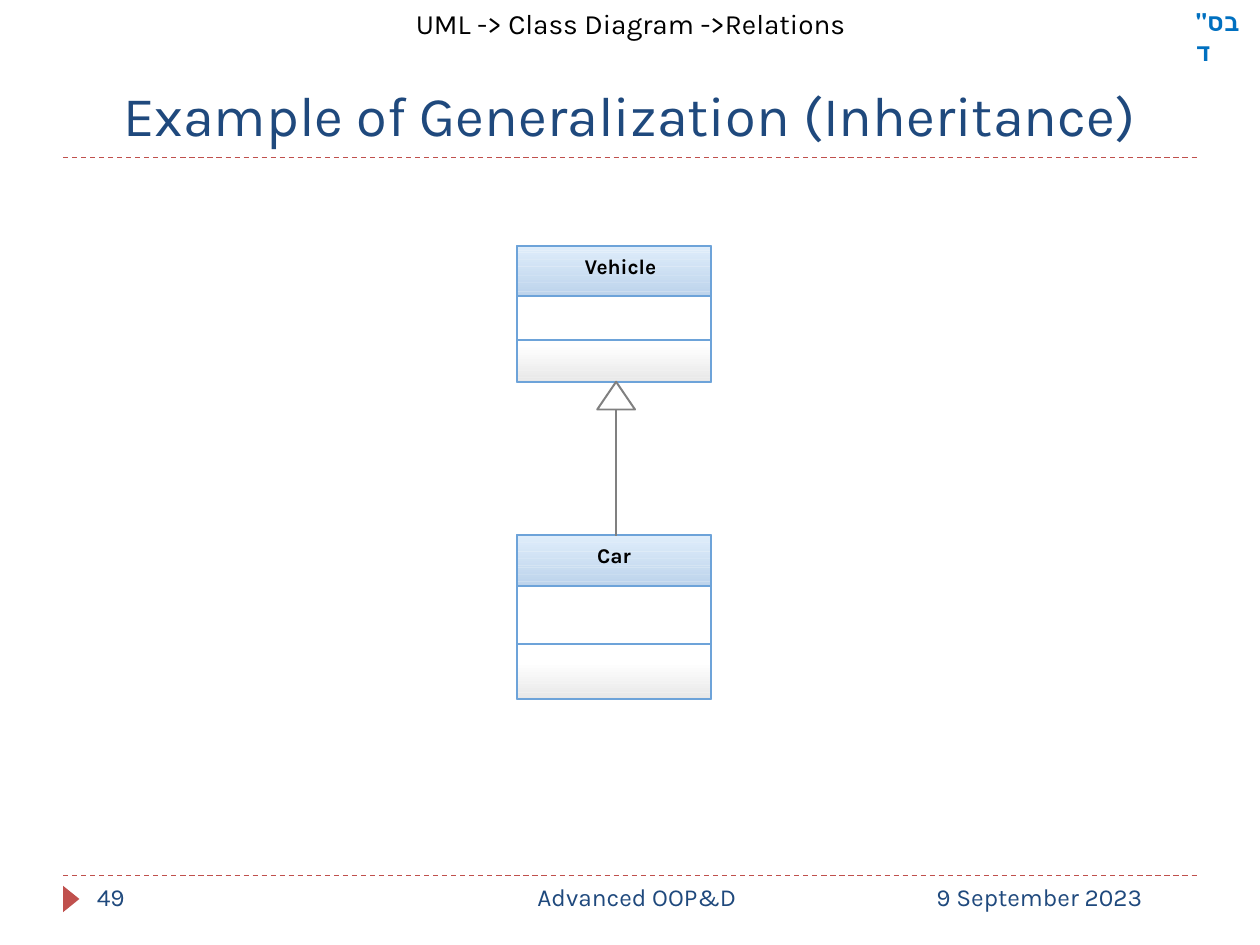
from lxml import etree
from pptx import Presentation
from pptx import util as u
from pptx.dml.color import RGBColor
from pptx.enum import dml, shapes, text
from pptx.oxml.ns import qn

INK, RED, BLUE, GRAY = "1F497D", "C0504D", "6DA3D9", "808080"
KIND, MID = shapes.MSO_SHAPE, text.PP_ALIGN.CENTER
hue = RGBColor.from_string

deck = Presentation()
deck.slide_width, deck.slide_height = u.Inches(10), u.Inches(7.5)
slide = deck.slides.add_slide(deck.slide_layouts[5])
parts = slide.shapes


def style(frame, words, size, tone, face="Karla", bold=False, align=None):
    frame.text = words
    para = frame.paragraphs[0]
    para.alignment = align
    look = {"name": face, "size": u.Pt(size), "bold": bold}
    for key, value in look.items():
        setattr(para.font, key, value)
    para.font.color.rgb = hue(tone)


def block(kind, box, fill=None, line=None):
    item = parts.add_shape(kind, *map(u.Inches, box))
    item.shadow.inherit = False
    if fill:
        item.fill.solid()
        item.fill.fore_color.rgb = hue(fill)
    else:
        item.fill.background()
    if line:
        item.line.color.rgb = hue(line)
        item.line.width = u.Pt(1.13)
    else:
        item.line.fill.background()
    return item


# Title
title = parts.title
place = {"left": 0.5, "top": 0.55, "width": 9, "height": 0.67}
for key, value in place.items():
    setattr(title, key, u.Inches(value))
frame = title.text_frame
frame.word_wrap = True
frame.auto_size = text.MSO_AUTO_SIZE.NONE
frame.vertical_anchor = text.MSO_ANCHOR.BOTTOM
style(frame, "Example of Generalization (Inheritance)", 32, INK, align=MID)

# Header and footer texts
notes = [
    ((9.39, 0.01, 0.61, 0.34), 'בס"ד', 14, "0070C0", "Calibri", True, None),
    ((2, 0, 6.01, 0.37), "UML -> Class Diagram ->Relations", 16, "000000", "Karla", False, MID),
    ((7, 6.95, 2.5, 0.4), "9 September 2023", 14, INK, "Karla", False, MID),
    ((3.11, 6.95, 3.89, 0.4), "Advanced OOP&D", 14, INK, "Karla", False, MID),
    ((0.67, 6.95, 2.17, 0.4), "49", 14, INK, "Karla", False, None),
]
for box, *look in notes:
    frame = parts.add_textbox(*map(u.Inches, box)).text_frame
    frame.word_wrap = True
    style(frame, *look)

# Page number marker
mark = block(KIND.ISOSCELES_TRIANGLE, (0.46, 7.07, 0.21, 0.13), RED)
mark.rotation = 90

# Class boxes: shared left edge and width, head and foot shaded in thin strips
left, wide, head, foot, thin = 4.1, 1.54, 0.4, 0.27, 0.02
cards = [
    ("Car", 4.25, 1.3, 5.11, (4.74, 4.31, 0.34, 0.24), None),
    ("Vehicle", 1.95, 1.08, 2.7, (4.56, 2.01, 0.73, 0.24), MID),
]
rules = [(0.5, y, 9.5, y, RED, 0.75) for y in (1.25, 6.95)]
for name, top, high, split, box, align in cards:
    block(KIND.RECTANGLE, (left, top, wide, high), "FFFFFF", BLUE)
    shades = [
        (top + high - foot, foot, 15, "FDFDFD", "E7E7E7"),
        (top, head, 22, "DFEDFB", "BCD3EB"),
    ]
    for start, deep, count, first, last in shades:
        for i in reversed(range(count)):
            part = i / (count - 1)
            tone = RGBColor(*(round(a + (b - a) * part) for a, b in zip(hue(first), hue(last))))
            block(KIND.RECTANGLE, (left, start + deep * i / count, wide, thin), str(tone))
    block(KIND.RECTANGLE, (left, top, wide, high), None, BLUE)
    frame = parts.add_textbox(*map(u.Inches, box)).text_frame
    frame.word_wrap = True
    for side in ("left", "top", "right", "bottom"):
        setattr(frame, "margin_" + side, 0)
    style(frame, name, 12, "000000", bold=True, align=align)
    rules += [(left, y, left + wide, y, BLUE, 1.13) for y in (top + head, split)]

# Page rules, compartment dividers and inheritance line
rules.append((4.89, 4.25, 4.89, 3.03, GRAY, 1.13))
for *ends, tone, width in rules:
    rule = parts.add_connector(shapes.MSO_CONNECTOR.STRAIGHT, *map(u.Inches, ends))
    rule.line.color.rgb = hue(tone)
    rule.line.width = u.Pt(width)
    if tone == RED:
        rule.line.dash_style = dml.MSO_LINE.DASH
    etree.SubElement(rule._element.spPr, qn("a:effectLst"))

# Hollow arrowhead at the parent class
block(KIND.ISOSCELES_TRIANGLE, (4.74, 3.03, 0.3, 0.22), "FFFFFF", GRAY)

deck.save("out.pptx")
